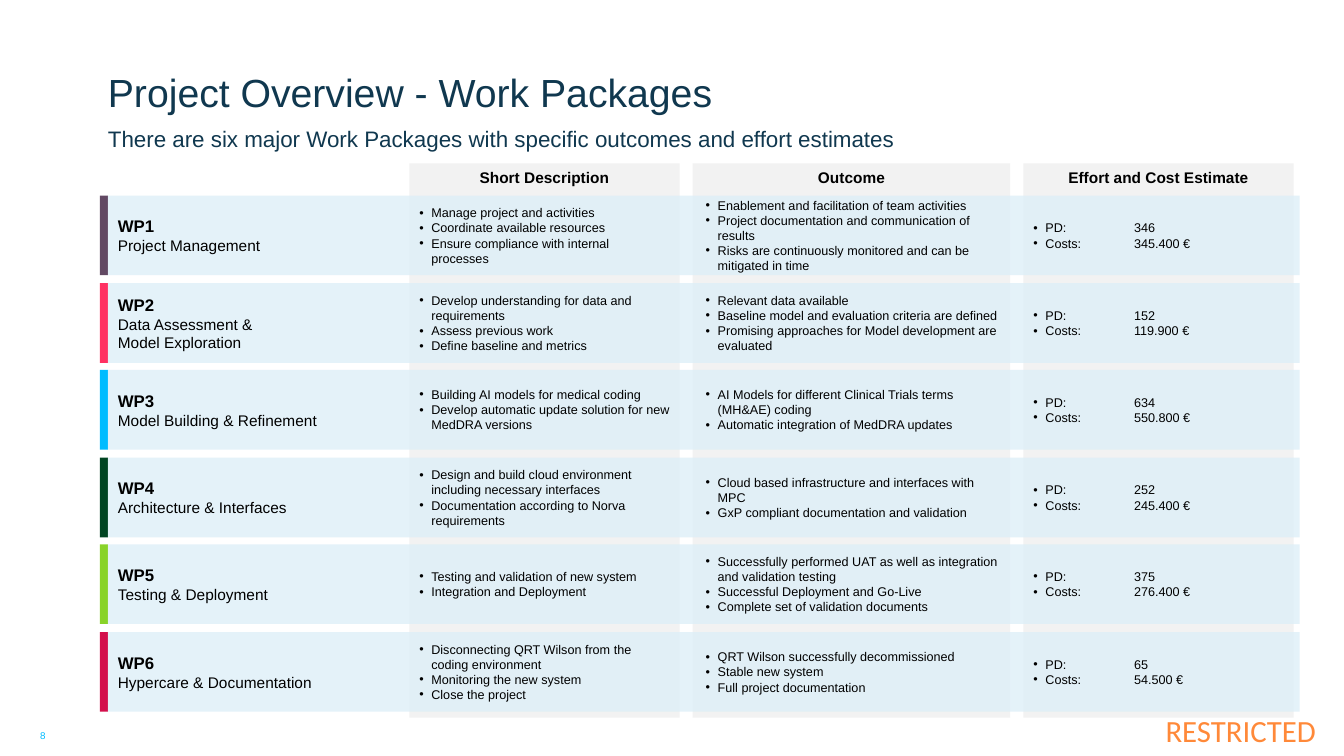
from pptx import Presentation
from pptx.util import Pt
from pptx.dml.color import RGBColor
from pptx.enum.shapes import MSO_SHAPE
from pptx.enum.text import MSO_ANCHOR, PP_ALIGN
from lxml import etree

PX = 9144
NS = "{http://schemas.openxmlformats.org/drawingml/2006/main}"


def write(sp, lines, size, color="000000", bold=False, name="Arial",
          align=PP_ALIGN.LEFT, anchor=MSO_ANCHOR.TOP, inset=(0, 0), bullets=False):
    tf = sp.text_frame
    tf.word_wrap = True
    tf.vertical_anchor = anchor
    tf.margin_left = tf.margin_right = inset[0] * PX
    tf.margin_top = tf.margin_bottom = inset[1] * PX
    tf.text = "\n".join(lines)
    for p in tf.paragraphs:
        p.alignment = align
        if bullets:
            pPr = p._p.get_or_add_pPr()
            pPr.set("marL", str(12 * PX))
            pPr.set("indent", str(-12 * PX))
            etree.SubElement(pPr, NS + "buFont", typeface="Arial")
            etree.SubElement(pPr, NS + "buChar", char="•")
            tabs = etree.SubElement(pPr, NS + "tabLst")
            etree.SubElement(tabs, NS + "tab", pos=str(100 * PX), algn="l")
        for r in p.runs:
            r.font.name = name
            r.font.size = Pt(size)
            r.font.bold = bold
            r.font.color.rgb = RGBColor.from_string(color)


def box(x, y, w, h, fill, alpha=100):
    sp = s.shapes.add_shape(MSO_SHAPE.RECTANGLE, x * PX, y * PX, w * PX, h * PX)
    sp.shadow.inherit = False
    sp.line.fill.background()
    sp.fill.solid()
    sp.fill.fore_color.rgb = RGBColor.from_string(fill)
    if alpha < 100:
        clr = sp.fill._xPr.find(f"{NS}solidFill/{NS}srgbClr")
        etree.SubElement(clr, NS + "alpha", val=str(alpha * 1000))
    return sp


prs = Presentation()
prs.slide_width, prs.slide_height = 1333 * PX, 750 * PX
s = prs.slides.add_slide(prs.slide_layouts[0])

headings = [
    (s.shapes.title, 20, 94, "Project Overview - Work Packages", 28, MSO_ANCHOR.BOTTOM),
    (s.placeholders[1], 124, 28,
     "There are six major Work Packages with specific outcomes and effort estimates",
     16, MSO_ANCHOR.TOP),
]
for sp, y, h, text, size, anchor in headings:
    sp.left, sp.top, sp.width, sp.height = 107 * PX, y * PX, 1181 * PX, h * PX
    write(sp, [text], size, "10384F", anchor=anchor)
    sp.text_frame.paragraphs[0].space_before = Pt(0)

columns = [
    ("Short Description", 406, 268),
    ("Outcome", 687, 315),
    ("Effort and Cost Estimate", 1015, 268),
]
for heading, x, w in columns:
    write(box(x, 162, w, 550, "F2F2F2"), [heading], 11, bold=True,
          align=PP_ALIGN.CENTER, inset=(10, 5))

packages = [
    ("624963", ["Project Management"],
     ["Manage project and activities", "Coordinate available resources",
      "Ensure compliance with internal processes"],
     ["Enablement and facilitation of team activities",
      "Project documentation and communication of results",
      "Risks are continuously monitored and can be mitigated in time"],
     "346", "345.400 €"),
    ("FF3162", ["Data Assessment &", "Model Exploration"],
     ["Develop understanding for data and requirements", "Assess previous work",
      "Define baseline and metrics"],
     ["Relevant data available", "Baseline model and evaluation criteria are defined",
      "Promising approaches for Model development are evaluated"],
     "152", "119.900 €"),
    ("00BCFF", ["Model Building & Refinement"],
     ["Building AI models for medical coding",
      "Develop automatic update solution for new MedDRA versions"],
     ["AI Models for different Clinical Trials terms (MH&AE) coding",
      "Automatic integration of MedDRA updates"],
     "634", "550.800 €"),
    ("004422", ["Architecture & Interfaces"],
     ["Design and build cloud environment including necessary interfaces",
      "Documentation according to Norva requirements"],
     ["Cloud based infrastructure and interfaces with MPC",
      "GxP compliant documentation and validation"],
     "252", "245.400 €"),
    ("89D329", ["Testing & Deployment"],
     ["Testing and validation of new system", "Integration and Deployment"],
     ["Successfully performed UAT as well as integration and validation testing",
      "Successful Deployment and Go-Live", "Complete set of validation documents"],
     "375", "276.400 €"),
    ("D30F4B", ["Hypercare & Documentation"],
     ["Disconnecting QRT Wilson from the coding environment",
      "Monitoring the new system", "Close the project"],
     ["QRT Wilson successfully decommissioned", "Stable new system",
      "Full project documentation"],
     "65", "54.500 €"),
]
for i, (color, label, description, outcome, days, costs) in enumerate(packages):
    y = 194 + round(i * 86.6)
    box(99, y, 8, 79, color)
    box(107, y, 1182, 79, "DCEEF8", 75)
    tb = s.shapes.add_textbox(107 * PX, y * PX, 299 * PX, 79 * PX)
    write(tb, [f"WP{i + 1}"] + label, 11, anchor=MSO_ANCHOR.MIDDLE, inset=(10, 5))
    r = tb.text_frame.paragraphs[0].runs[0]
    r.font.size, r.font.bold = Pt(12), True
    effort = [f"PD:\t{days}", f"Costs:\t{costs}"]
    cells = [(406, 268, description), (690, 315, outcome), (1015, 268, effort)]
    for x, w, lines in cells:
        tb = s.shapes.add_textbox(x * PX, y * PX, w * PX, 79 * PX)
        write(tb, lines, 9, anchor=MSO_ANCHOR.MIDDLE, inset=(10, 0), bullets=True)

tb = s.shapes.add_textbox(21 * PX, 724 * PX, 43 * PX, 12 * PX)
write(tb, ["8"], 7, "00BCFF", align=PP_ALIGN.CENTER)
tb = s.shapes.add_textbox(1128 * PX, 699 * PX, 205 * PX, 51 * PX)
write(tb, ["RESTRICTED"], 22, "FF8939", name="Calibri", align=PP_ALIGN.RIGHT,
      anchor=MSO_ANCHOR.MIDDLE)
tb.text_frame.margin_right = 28 * PX

prs.save("out.pptx")
